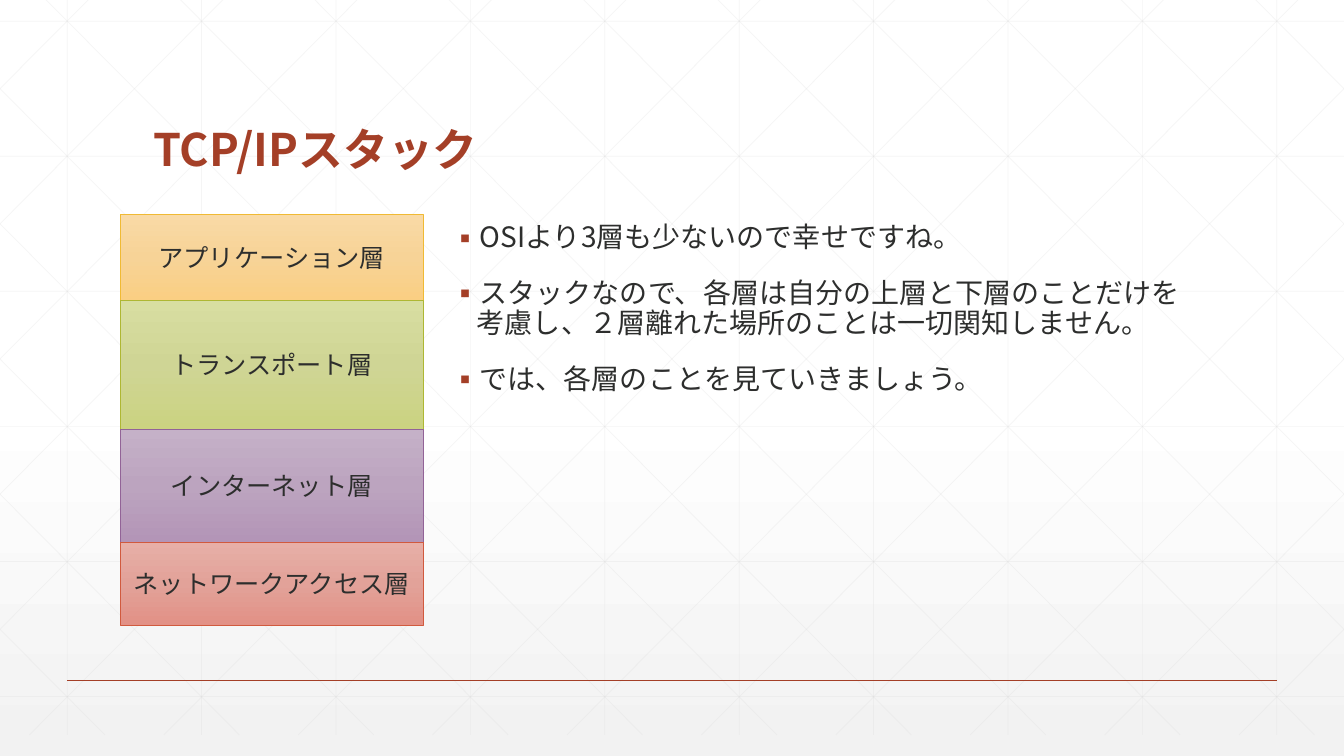
from lxml import etree
from pptx import Presentation
from pptx.dml.color import RGBColor
from pptx.enum.shapes import MSO_CONNECTOR, MSO_SHAPE
from pptx.enum.text import MSO_ANCHOR, MSO_AUTO_SIZE, PP_ALIGN
from pptx.oxml.ns import qn
from pptx.util import Inches, Pt

STRAIGHT, RECT = MSO_CONNECTOR.STRAIGHT, MSO_SHAPE.RECTANGLE
LEFT, CENTER = PP_ALIGN.LEFT, PP_ALIGN.CENTER
TOP, MIDDLE, BOTTOM = MSO_ANCHOR.TOP, MSO_ANCHOR.MIDDLE, MSO_ANCHOR.BOTTOM

TITLE = "TCP/IPスタック"
POINTS = [
    "OSIより3層も少ないので幸せですね。",
    "スタックなので、各層は自分の上層と下層のことだけを考慮し、２層離れた場所のことは一切関知しません。",
    "では、各層のことを見ていきましょう。",
]
# name, height, gradient stops, outline
LAYERS = [
    ("アプリケーション層", 0.85, ("F9DAA6", "F7D397", "FACF83"), "F0BA34"),
    ("トランスポート層", 1.28, ("D8DEA1", "CFD595", "CBD381"), "AEB733"),
    ("インターネット層", 1.12, ("C5B1C8", "BCA4BF", "B395B7"), "926397"),
    ("ネットワークアクセス層", 0.82, ("E7AFA7", "E2A299", "E29186"), "D15A3E"),
]
COLORS = {"accent": "A43F27", "text": "2D2E2D", "grid": "D9D9D9"}
BACKGROUND = [(0, "FFFFFF"), (53, "FFFFFF"), (100, "F2F2F2")]
CJK = "Noto Sans CJK JP"

W, H = 13.33, 7.5
MARGIN = W / 20
COL, ROW = W / 10, 1.34
GRID_TOP, GRID_BOTTOM = -0.21, 7.29
DIAGONAL_X, SLOPE = 0.25, 1.006
STACK_LEFT, STACK_TOP, STACK_W = 1.19, 2.13, 3.01


def rgb(color):
    return RGBColor.from_string(color)


def sub(parent, tag, **attrs):
    return etree.SubElement(parent, qn(tag), attrs)


def set_gradient(fill, element, stops):
    """Fill from top to bottom with (percent, colour) stops."""
    fill.gradient()
    fill.gradient_angle = 270
    gs_list = element.find(".//" + qn("a:gsLst"))
    for gs in list(gs_list):
        gs_list.remove(gs)
    for percent, color in stops:
        gs = sub(gs_list, "a:gs", pos=str(percent * 1000))
        sub(gs, "a:srgbClr", val=color)


def add_line(slide, x1, y1, x2, y2, color, width, alpha=None):
    """Draw a line and place it on the slide master."""
    ends = [Inches(v) for v in (x1, y1, x2, y2)]
    line = slide.shapes.add_connector(STRAIGHT, *ends)
    line.line.color.rgb = rgb(color)
    line.line.width = Pt(width)
    if alpha:
        clr = line.element.find(".//" + qn("a:srgbClr"))
        sub(clr, "a:alpha", val=str(alpha * 1000))
    sub(line.element.spPr, "a:effectLst")
    slide.slide_layout.slide_master.shapes.element.append(line.element)


def add_grid(slide):
    lines = [(MARGIN + i * COL, GRID_TOP, MARGIN + i * COL, GRID_BOTTOM)
             for i in range(10)]
    lines += [(0, 0.21 + i * ROW, W, 0.21 + i * ROW) for i in range(6)]
    for i in range(-5, 10):
        start = DIAGONAL_X + i * COL
        x1 = max(start, 0)
        x2 = min(start + (GRID_BOTTOM - GRID_TOP) / SLOPE, W)
        y1, y2 = (GRID_TOP + (x - start) * SLOPE for x in (x1, x2))
        lines += [(x1, y1, x2, y2), (W - x1, y1, W - x2, y2)]
    for ends in lines:
        add_line(slide, *ends, COLORS["grid"], 0.5, alpha=25)


def place(sp, left, top, width, height):
    sp.left, sp.top = Inches(left), Inches(top)
    sp.width, sp.height = Inches(width), Inches(height)


def write(sp, texts, anchor, align, color, font, paragraph=None):
    tf = sp.text_frame
    tf.word_wrap = True
    tf.auto_size = MSO_AUTO_SIZE.NONE
    tf.vertical_anchor = anchor
    for i, text in enumerate(texts):
        p = tf.add_paragraph() if i else tf.paragraphs[0]
        p.alignment = align
        for name, value in (paragraph or {}).items():
            setattr(p, name, value)
        r = p.add_run()
        r.text = text
        r.font.color.rgb = rgb(color)
        for name, value in font.items():
            setattr(r.font, name, value)
        sub(r.font._element, "a:ea", typeface=CJK)


def add_bullet(p):
    pPr = p._p.get_or_add_pPr()
    pPr.set("marL", str(Inches(0.25)))
    pPr.set("indent", str(-Inches(0.25)))
    sub(sub(pPr, "a:buClr"), "a:srgbClr", val=COLORS["accent"])
    sub(pPr, "a:buFont", typeface=CJK)
    sub(pPr, "a:buChar", char="▪")


def add_stack(slide):
    top = STACK_TOP
    for name, height, shades, outline in LAYERS:
        sp = slide.shapes.add_shape(RECT, 0, 0, 0, 0)
        place(sp, STACK_LEFT, top, STACK_W, height)
        sp.shadow.inherit = False
        set_gradient(sp.fill, sp.element, zip((0, 50, 100), shades))
        sp.line.color.rgb = rgb(outline)
        sp.line.width = Pt(0.5)
        write(sp, [name], MIDDLE, CENTER, COLORS["text"],
              {"size": Pt(18), "name": "Arial"})
        top += height


def main():
    prs = Presentation()
    prs.slide_width, prs.slide_height = Inches(W), Inches(H)
    slide = prs.slides.add_slide(prs.slide_layouts[1])
    set_gradient(slide.background.fill, slide.element, BACKGROUND)
    add_grid(slide)
    add_line(slide, MARGIN, 0.9 * H, W - MARGIN, 0.9 * H, COLORS["accent"], 1)

    title, body = slide.placeholders
    place(title, 1.42, 0.55, 10.5, 1.25)
    write(title, [TITLE], BOTTOM, LEFT, COLORS["accent"],
          {"size": Pt(32), "name": CJK, "bold": True}, {"line_spacing": 0.9})
    place(body, 4.38, 2.17, 7.54, 4.17)
    write(body, POINTS, TOP, LEFT, COLORS["text"],
          {"size": Pt(20), "name": CJK},
          {"line_spacing": 0.9, "space_before": Pt(18)})
    for p in body.text_frame.paragraphs:
        add_bullet(p)

    add_stack(slide)
    prs.save("out.pptx")


if __name__ == "__main__":
    main()
